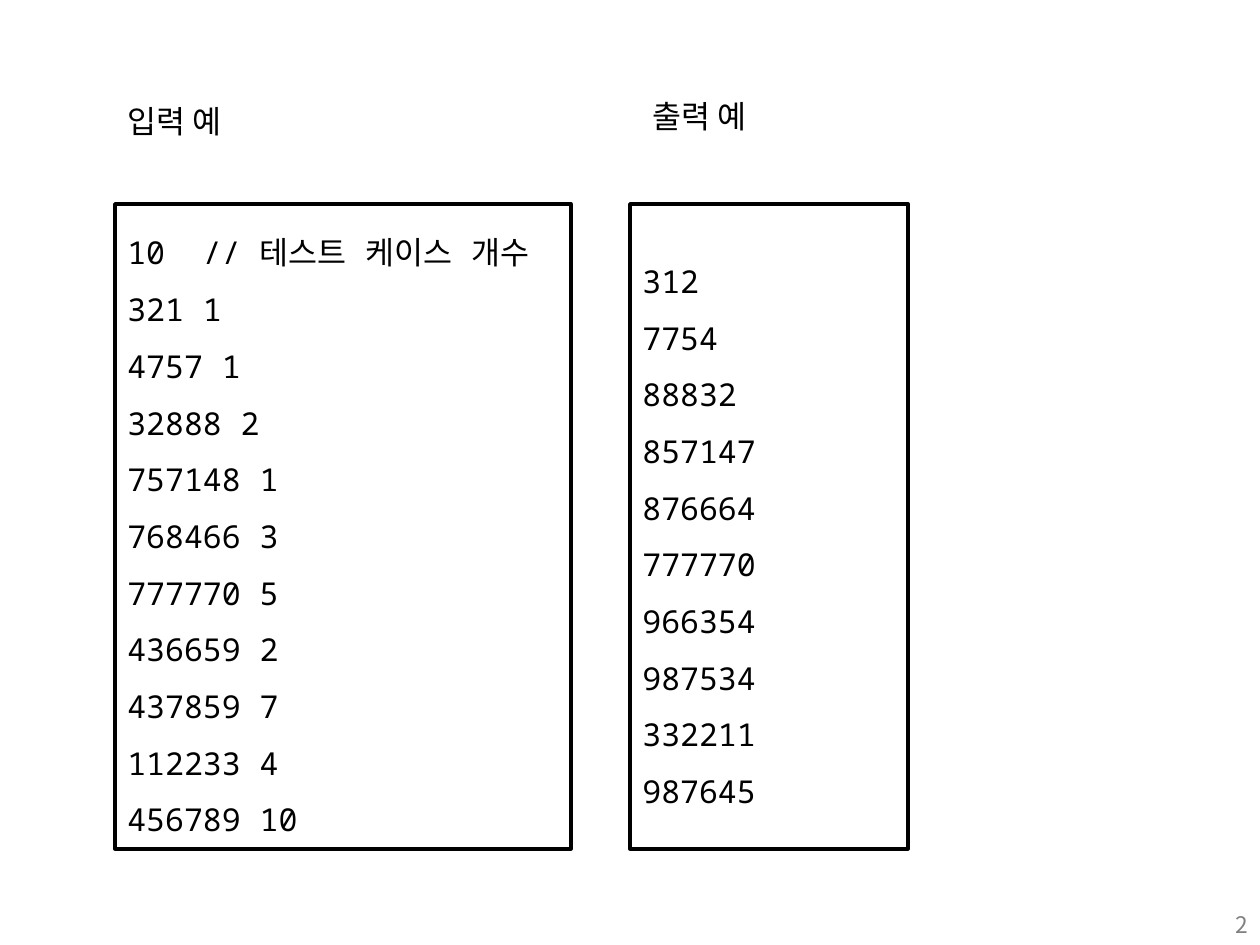
from dataclasses import dataclass

from lxml import etree
from pptx import Presentation
from pptx import util as u
from pptx.dml import color
from pptx.enum import shapes, text
from pptx.oxml import ns

SCALE = u.Inches(1) / 126


@dataclass(frozen=True)
class Theme:
    ink: str = "000000"
    paper: str = "FFFFFF"
    gray: str = "808080"
    sans: str = "Noto Sans CJK KR"
    mono: str = "Noto Sans Mono"
    body: int = 18
    small: int = 13
    edge: int = 2
    lead: float = 1.5


@dataclass(frozen=True)
class Area:
    left: int
    top: int
    width: int
    height: int


@dataclass(frozen=True)
class Label:
    area: Area
    words: str
    size: int
    tint: str
    align: text.PP_ALIGN = text.PP_ALIGN.LEFT


@dataclass(frozen=True)
class Panel:
    area: Area
    lines: tuple[str, ...]


THEME = Theme()
TOP, TALL, ROW = 204, 645, 50

LABELS = (
    Label(Area(115, 96, 159, ROW), "입력 예", THEME.body, THEME.ink),
    Label(Area(640, 91, 149, ROW), "출력 예", THEME.body, THEME.ink),
    Label(Area(966, 905, 294, ROW), "2", THEME.small, THEME.gray,
          text.PP_ALIGN.RIGHT),
)

PANELS = (
    Panel(Area(115, TOP, 456, TALL), (
        "10  // 테스트 케이스 개수", "321 1", "4757 1", "32888 2",
        "757148 1", "768466 3", "777770 5", "436659 2", "437859 7",
        "112233 4", "456789 10")),
    Panel(Area(630, TOP, 278, TALL), (
        "312", "7754", "88832", "857147", "876664", "777770",
        "966354", "987534", "332211", "987645")),
)


def px(size: int) -> u.Emu:
    return u.Emu(round(size * SCALE))


def place(area: Area) -> tuple[u.Emu, ...]:
    return tuple(map(px, (area.left, area.top, area.width, area.height)))


def rgb(tint: str) -> color.RGBColor:
    return color.RGBColor.from_string(tint)


def write(para, words: str, face: str, size: int, tint: str) -> None:
    run = para.add_run()
    run.text = words
    font = run.font
    font.name = face
    font.size = u.Pt(size)
    font.color.rgb = rgb(tint)
    asian = etree.SubElement(run._r.get_or_add_rPr(), ns.qn("a:ea"))
    asian.set("typeface", face)


def draw_label(slide, label: Label) -> None:
    frame = slide.shapes.add_textbox(*place(label.area)).text_frame
    frame.word_wrap = True
    para = frame.paragraphs[0]
    para.alignment = label.align
    write(para, label.words, THEME.sans, label.size, label.tint)


def draw_panel(slide, panel: Panel) -> None:
    box = slide.shapes.add_shape(
        shapes.MSO_SHAPE.RECTANGLE, *place(panel.area))
    box.shadow.inherit = False
    box.fill.solid()
    box.fill.fore_color.rgb = rgb(THEME.paper)
    box.line.color.rgb = rgb(THEME.ink)
    box.line.width = u.Pt(THEME.edge)
    frame = box.text_frame
    frame.word_wrap = True
    frame.vertical_anchor = text.MSO_ANCHOR.MIDDLE
    for i, line in enumerate(panel.lines):
        para = frame.add_paragraph() if i else frame.paragraphs[0]
        para.alignment = text.PP_ALIGN.LEFT
        para.line_spacing = THEME.lead
        write(para, line, THEME.mono, THEME.body, THEME.ink)


def main() -> None:
    deck = Presentation()
    deck.slide_width, deck.slide_height = px(1260), px(945)
    slide = deck.slides.add_slide(deck.slide_layouts[6])
    for panel in PANELS:
        draw_panel(slide, panel)
    for label in LABELS:
        draw_label(slide, label)
    deck.save("out.pptx")


if __name__ == "__main__":
    main()
